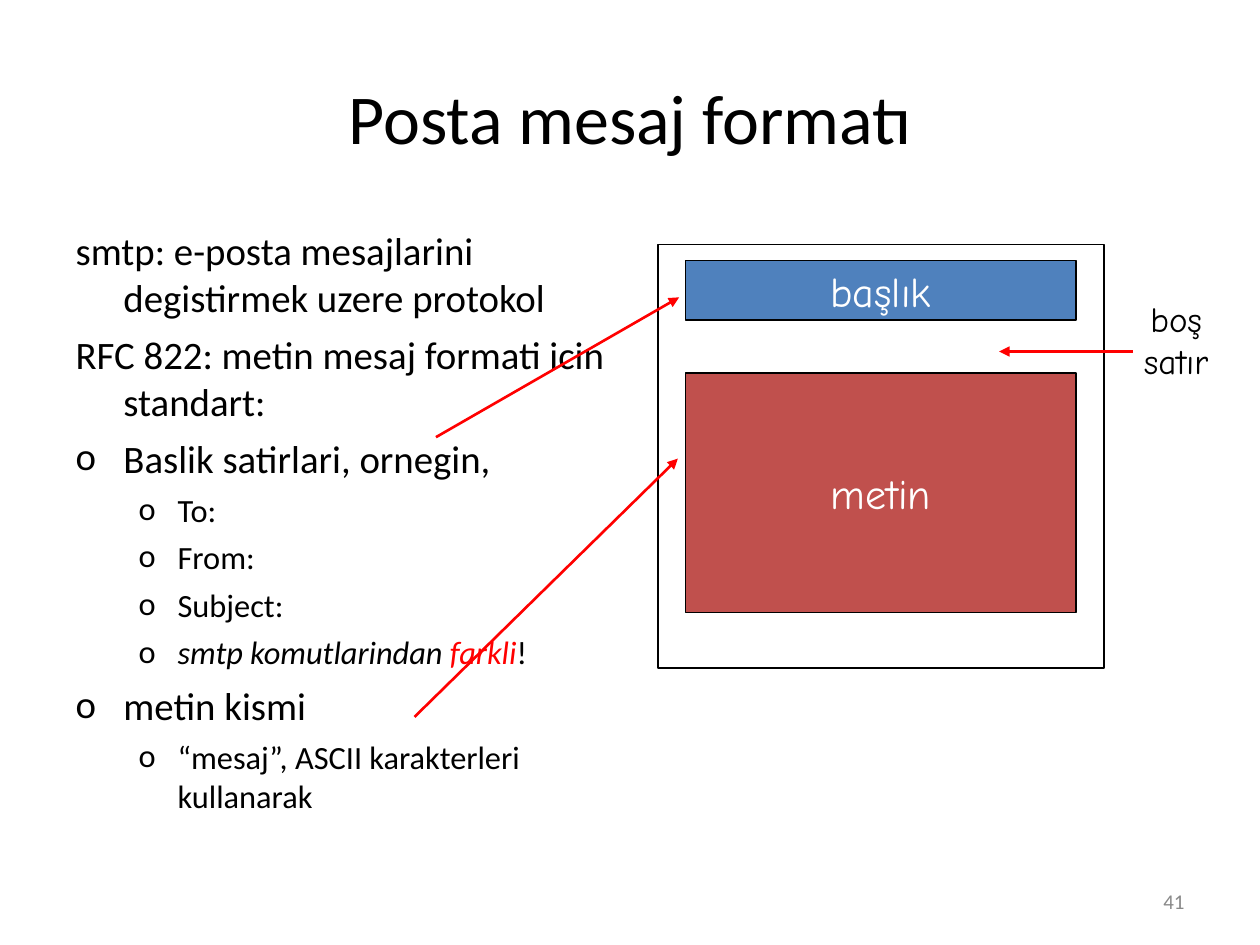
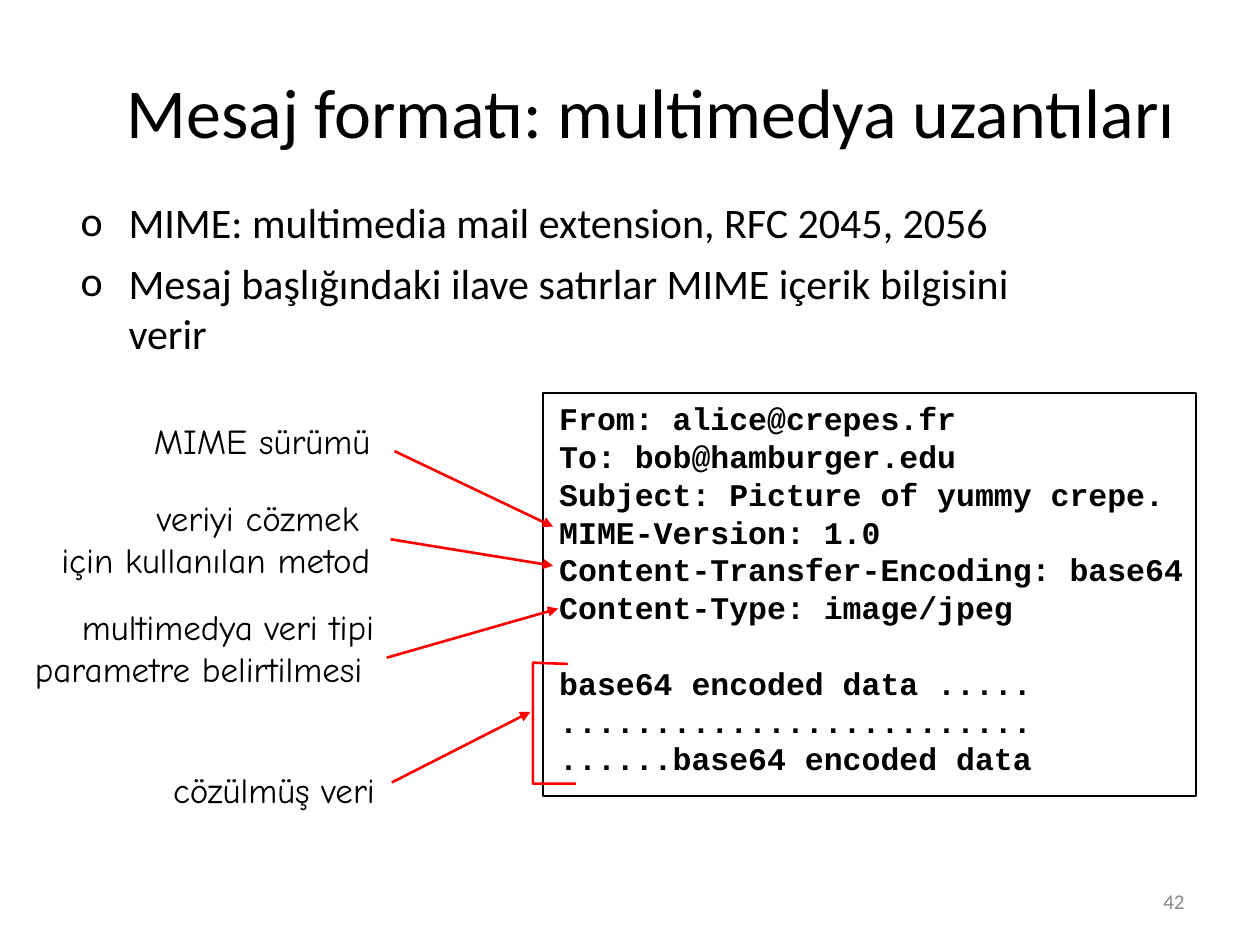
from lxml.etree import SubElement
from pptx import Presentation
from pptx.dml.color import RGBColor
from pptx.enum.shapes import MSO_CONNECTOR as Connector, MSO_SHAPE as Shape
from pptx.enum.text import MSO_ANCHOR as Anchor, MSO_AUTO_SIZE as AutoSize, PP_ALIGN as Align
from pptx.oxml.ns import qn
from pptx.util import Inches, Pt

COLORS = {"text": "000000", "accent": "FF0000", "header": "4F81BD",
          "body": "C0504D", "light": "FFFFFF", "footer": "898989"}
FORMATS = {
    "title": {"name": "Calibri", "size": Pt(40)},
    "item": {"name": "Calibri", "size": Pt(22.2)},
    "large item": {"name": "Calibri", "size": Pt(24)},
    "sub-item": {"name": "Calibri", "size": Pt(18.5)},
    "block": {"name": "Comic Neue", "size": Pt(24)},
    "label": {"name": "Comic Neue", "size": Pt(20)},
    "code": {"name": "Courier New", "size": Pt(18), "bold": True},
    "footer": {"name": "Calibri", "size": Pt(12)},
}
INDENTS = {0: (0.38, -0.38, 6), 1: (0.81, -0.31, 5)}


class Deck:
    """Hold the shared style and the slide being filled."""

    def __init__(self):
        self.presentation = Presentation()
        self.presentation.slide_width = Inches(10)
        self.presentation.slide_height = Inches(7.5)
        self.slide = None

    def color(self, name):
        """Return a named colour."""
        return RGBColor.from_string(COLORS[name])

    def place(self, shape, box):
        """Move and size a shape."""
        for side, length in zip(("left", "top", "width", "height"), box):
            setattr(shape, side, Inches(length))

    def styled_run(self, paragraph, text, style, color="text", italic=None):
        """Add one formatted run to a paragraph."""
        run = paragraph.add_run()
        run.text = text
        for key, value in (FORMATS[style] | {"italic": italic}).items():
            setattr(run.font, key, value)
        run.font.color.rgb = self.color(color)

    def fill_lines(self, frame, lines, style, align, color="text"):
        """Add one paragraph per line."""
        for index, line in enumerate(lines):
            paragraph = frame.add_paragraph() if index else frame.paragraphs[0]
            paragraph.alignment = align
            self.styled_run(paragraph, line, style, color)

    def new_slide(self, title, box, number):
        """Start a slide with its title and page number."""
        layout = self.presentation.slide_layouts[1]
        self.slide = self.presentation.slides.add_slide(layout)
        shape = self.slide.shapes.title
        self.place(shape, box)
        frame = shape.text_frame
        frame.auto_size, frame.vertical_anchor = AutoSize.NONE, Anchor.MIDDLE
        self.fill_lines(frame, [title], "title", Align.CENTER)
        self.text((7.17, 6.95, 2.33, 0.4), [str(number)], "footer", Align.RIGHT,
                  color="footer", wrap=True, anchor=Anchor.MIDDLE)

    def bullets(self, box, items, top_style="item"):
        """Fill the body with (level, bulleted, runs) items."""
        shape = self.slide.placeholders[1]
        self.place(shape, box)
        frame = shape.text_frame
        frame.auto_size = AutoSize.NONE
        for index, (level, bulleted, runs) in enumerate(items):
            paragraph = frame.add_paragraph() if index else frame.paragraphs[0]
            paragraph.level = level
            margin, indent, space = INDENTS[level]
            properties = paragraph._p.get_or_add_pPr()
            properties.set("marL", str(Inches(margin)))
            properties.set("indent", str(Inches(indent)))
            if bulleted:
                tint = SubElement(properties, qn("a:buClr"))
                SubElement(tint, qn("a:srgbClr"), val=COLORS["text"])
                SubElement(properties, qn("a:buFont"), typeface="Calibri")
                SubElement(properties, qn("a:buChar"), char="o")
            else:
                SubElement(properties, qn("a:buNone"))
            paragraph.space_before = Pt(space if index else 0)
            for text, *details in runs:
                self.styled_run(paragraph, text, "sub-item" if level else top_style, *details)

    def text(self, box, lines, style, align, color="text", wrap=False, anchor=Anchor.TOP):
        """Add a text box and return its frame."""
        frame = self.slide.shapes.add_textbox(*map(Inches, box)).text_frame
        frame.word_wrap, frame.vertical_anchor = wrap, anchor
        self.fill_lines(frame, lines, style, align, color)
        return frame

    def rectangle(self, box, fill=None, width=1, label=None):
        """Add an outlined rectangle, filled and labelled if asked."""
        shape = self.slide.shapes.add_shape(Shape.RECTANGLE, *map(Inches, box))
        shape.shadow.inherit = False
        shape.line.color.rgb, shape.line.width = self.color("text"), Pt(width)
        if fill:
            shape.fill.solid()
            shape.fill.fore_color.rgb = self.color(fill)
        else:
            shape.fill.background()
        if label:
            shape.text_frame.word_wrap = False
            shape.text_frame.vertical_anchor = Anchor.MIDDLE
            self.fill_lines(shape.text_frame, [label], "block", Align.CENTER, "light")

    def arrow(self, start, end):
        """Add a red arrow between two points."""
        arrow = self.slide.shapes.add_connector(Connector.STRAIGHT, *map(Inches, start + end))
        arrow.line.color.rgb, arrow.line.width = self.color("accent"), Pt(1.5)
        properties = arrow._element.spPr
        SubElement(properties.get_or_add_ln(), qn("a:tailEnd"), type="triangle")
        SubElement(properties, qn("a:effectLst"))

    def bracket(self, points):
        """Add an open red outline through the points."""
        first, *rest = [tuple(map(Inches, point)) for point in points]
        builder = self.slide.shapes.build_freeform(*first)
        builder.add_line_segments(rest, close=False)
        shape = builder.convert_to_shape()
        shape.shadow.inherit = False
        shape.fill.background()
        shape.line.color.rgb, shape.line.width = self.color("accent"), Pt(1.5)


def message_format(deck):
    """Build the slide on the mail message format."""
    deck.new_slide("Posta mesaj formatı", (0.5, 0.3, 9, 1.25), 41)
    deck.bullets((0.5, 1.75, 4.41, 4.95), [
        (0, False, [("smtp: e-posta mesajlarini degistirmek uzere protokol",)]),
        (0, False, [("RFC 822: metin mesaj formati icin standart:",)]),
        (0, True, [("Baslik satirlari, ornegin,",)]),
        *[(1, True, [(field,)]) for field in ("To:", "From:", "Subject:")],
        (1, True, [("smtp komutlarindan ", "text", True),
                   ("farkli", "accent", True), ("!",)]),
        (0, True, [("metin kismi",)]),
        (1, True, [("“mesaj”, ASCII karakterleri kullanarak",)]),
    ])
    deck.rectangle((5.44, 2.07, 3.1, 0.47), "header", 0.75, "başlık")
    deck.rectangle((5.44, 2.96, 3.1, 1.9), "body", 0.75, "metin")
    deck.rectangle((5.22, 1.94, 3.54, 3.36))
    deck.text((8.98, 2.31, 0.71, 0.77), ["boş", "satır"], "label", Align.CENTER)
    for start, end in [((3.46, 3.47), (5.39, 2.36)), ((3.29, 5.69), (5.38, 3.64)),
                       ((8.99, 2.79), (7.93, 2.79))]:
        deck.arrow(start, end)


def multimedia_extensions(deck):
    """Build the slide on the MIME extensions."""
    deck.new_slide("Mesaj formatı: multimedya uzantıları", (0.58, 0.25, 9.17, 1.25), 42)
    deck.bullets((0.54, 1.51, 8.01, 5.08), [
        (0, True, [("MIME: multimedia mail extension, RFC 2045, 2056",)]),
        (0, True, [("Mesaj başlığındaki ilave satırlar MIME içerik bilgisini verir",)]),
    ], "large item")
    headers = ["From: alice@crepes.fr", "To: bob@hamburger.edu",
               "Subject: Picture of yummy crepe.", "MIME-Version: 1.0",
               "Content-Transfer-Encoding: base64", "Content-Type: image/jpeg"]
    data = ["base64 encoded data .....", ".........................",
            "......base64 encoded data"]
    message = deck.text((4.34, 3.12, 5.44, 3.4), headers + data, "code", Align.LEFT, wrap=True)
    message.paragraphs[len(headers)].space_before = Pt(21.6)
    deck.rectangle((4.31, 3.12, 5.18, 3.2))
    for box, lines, align, start, end in [
        ((1.12, 3.28, 1.92, 0.44), ["MIME sürümü"], Align.CENTER, (3.13, 3.58), (4.39, 4.18)),
        ((0.38, 3.89, 2.66, 0.77), ["veriyi cözmek ", "için kullanılan metod"],
         Align.RIGHT, (3.1, 4.28), (4.39, 4.49)),
        ((0.17, 4.76, 2.9, 0.77), ["multimedya veri tipi", "parametre belirtilmesi "],
         Align.RIGHT, (3.07, 5.22), (4.43, 4.83)),
        ((1.27, 6.05, 1.81, 0.44), ["cözülmüş veri"], Align.CENTER, (3.11, 6.21), (4.21, 5.65)),
    ]:
        deck.text(box, lines, "label", align)
        deck.arrow(start, end)
    deck.bracket([(4.51, 5.27), (4.23, 5.26), (4.23, 6.22), (4.57, 6.22)])


def main():
    """Build and save the presentation."""
    deck = Deck()
    message_format(deck)
    multimedia_extensions(deck)
    deck.presentation.save("out.pptx")


if __name__ == "__main__":
    main()
